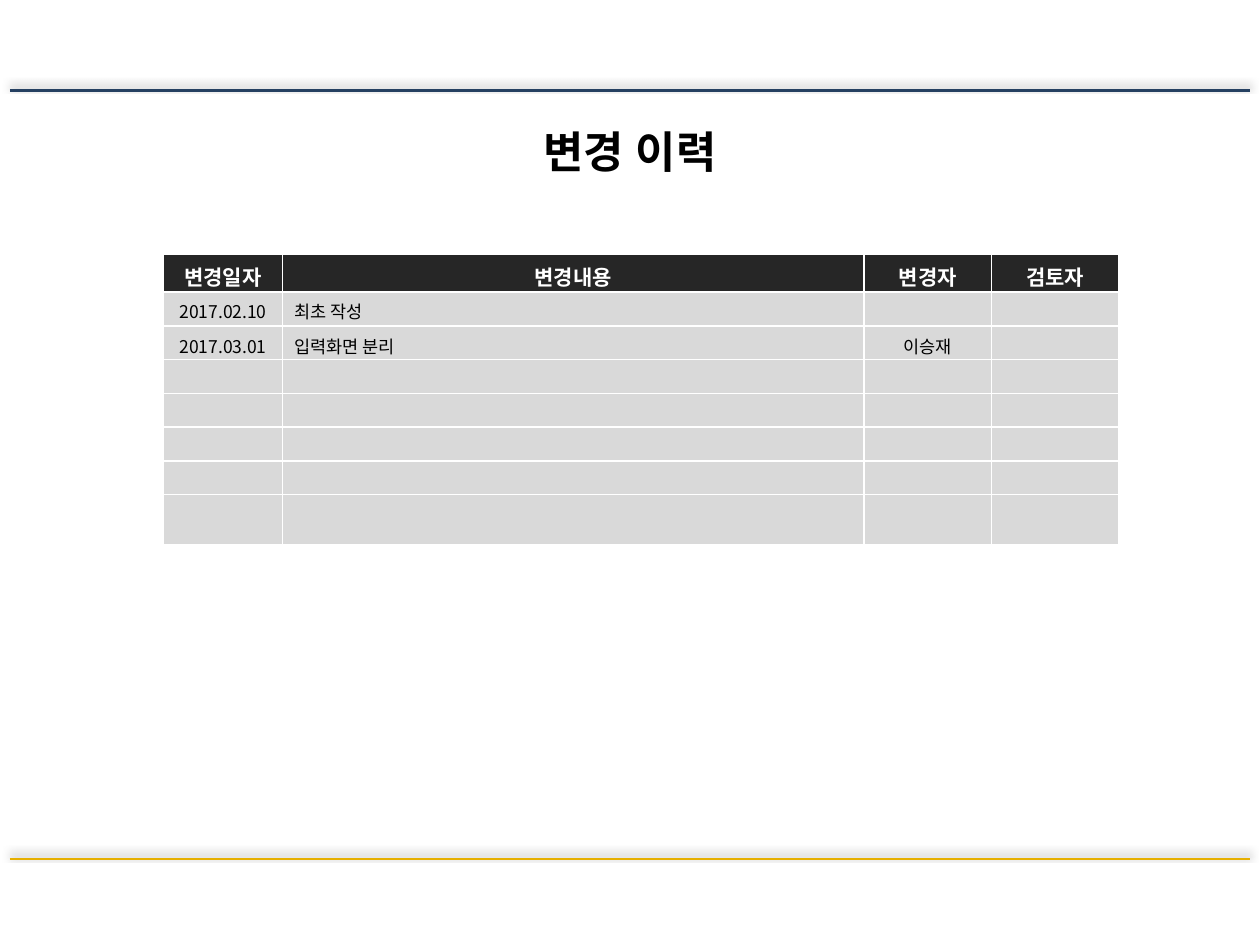
"""Build the change history slide with its revision table."""
from lxml import etree
from pptx import Presentation
from pptx.dml.color import RGBColor
from pptx.enum import shapes, text
from pptx.oxml import parse_xml
from pptx.util import Cm, Pt

COLORS = {"navy": "254061", "gold": "E6AF00", "header": "262626",
          "body": "D9D9D9", "white": "FFFFFF", "black": "000000"}
NS = 'xmlns:a="http://schemas.openxmlformats.org/drawingml/2006/main"'
KOREAN = "Noto Sans CJK KR"


def color(name):
    return RGBColor.from_string(COLORS[name])


def style(paragraph, face, size, ink, bold):
    font = paragraph.font
    font.name, font.size, font.bold = face, Pt(size), bold
    font.color.rgb = color(ink)
    east_asian = etree.SubElement(font._element, f"{{{NS[9:-1]}}}ea")
    east_asian.set("typeface", face)


prs = Presentation()
prs.slide_width, prs.slide_height = Cm(25.4), Cm(19.05)
slide = prs.slides.add_slide(prs.slide_layouts[6])

title = slide.shapes.add_textbox(Cm(10.5), Cm(2.39), Cm(4.4), Cm(1.32)).text_frame
title.word_wrap = False
heading = title.paragraphs[0]
heading.text = "변경 이력"
heading.alignment = text.PP_ALIGN.CENTER
style(heading, "Arial", 25, "black", True)

entries = [
    ["변경일자", "변경내용", "변경자", "검토자"],
    ["2017.02.10", "최초 작성", "", ""],
    ["2017.03.01", "입력화면 분리", "이승재", ""],
] + [[""] * 4] * 5
column_widths = [2.39, 11.73, 2.57, 2.57]
row_heights = [0.76] + [0.68] * 6 + [1.02]

history = slide.shapes.add_table(
    len(entries), len(column_widths), Cm(3.3), Cm(5.13),
    Cm(sum(column_widths)), Cm(sum(row_heights))).table
for column, width in zip(history.columns, column_widths):
    column.width = Cm(width)

for r, (entry, height) in enumerate(zip(entries, row_heights)):
    history.rows[r].height = Cm(height)
    header = r == 0
    for c, value in enumerate(entry):
        cell = history.cell(r, c)
        cell.margin_top, cell.margin_bottom = Cm(0.13), Cm(0)
        if r == 2:
            cell.vertical_anchor = text.MSO_ANCHOR.MIDDLE
        cell.fill.solid()
        cell.fill.fore_color.rgb = color("header" if header else "body")
        for i, side in enumerate(("lnL", "lnR", "lnT", "lnB")):
            cell._tc.tcPr.insert(i, parse_xml(
                f'<a:{side} {NS} w="12700"><a:solidFill>'
                f'<a:srgbClr val="{COLORS["white"]}"/></a:solidFill></a:{side}>'))
        paragraph = cell.text_frame.paragraphs[0]
        paragraph.text = value
        left = c == 1 and not header
        paragraph.alignment = text.PP_ALIGN.LEFT if left else text.PP_ALIGN.CENTER
        style(paragraph, KOREAN, 12 if header else 10,
              "white" if header else "black", header)
        if not value:
            paragraph._p.get_or_add_endParaRPr().set("sz", "1000")

for y, ink in ((17.32, "gold"), (1.83, "navy")):
    rule = slide.shapes.add_connector(
        shapes.MSO_CONNECTOR.STRAIGHT, Cm(0.2), Cm(y), Cm(25.2), Cm(y))
    rule.line.color.rgb = color(ink)
    rule.line.width = Pt(1.5)
    rule._element.spPr.append(parse_xml(
        f'<a:effectLst {NS}><a:outerShdw blurRad="50800" dist="38100" '
        f'dir="16200000" rotWithShape="0"><a:srgbClr val="{COLORS["black"]}">'
        '<a:alpha val="40000"/></a:srgbClr></a:outerShdw></a:effectLst>'))

prs.save("out.pptx")
